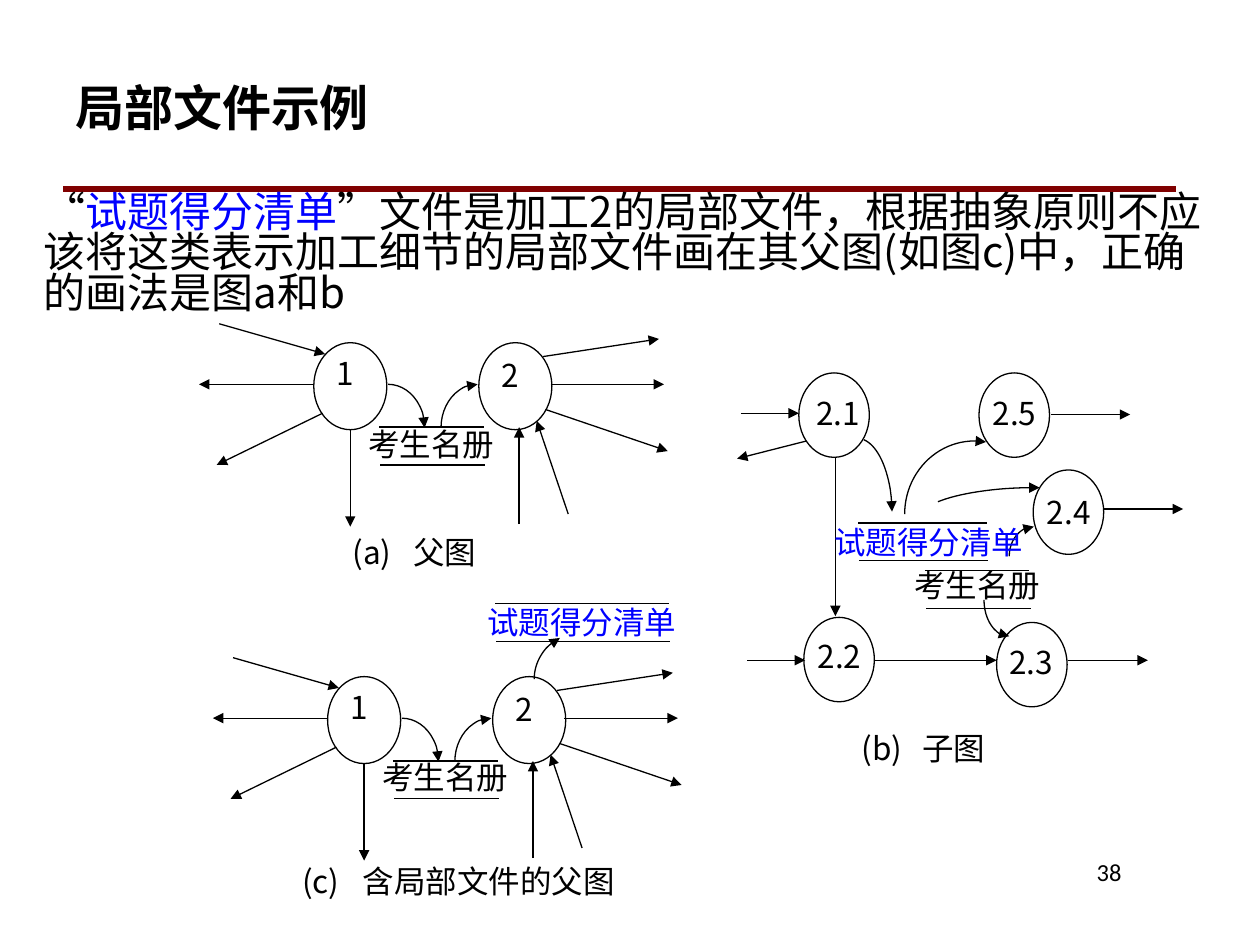
"""Build the slide on local files in data flow diagrams."""
from lxml import etree
from pptx import Presentation
from pptx.dml.color import RGBColor
from pptx.enum.shapes import MSO_CONNECTOR, MSO_SHAPE
from pptx.enum.text import MSO_ANCHOR, PP_ALIGN
from pptx.oxml.ns import qn
from pptx.util import Inches, Pt

LINE, OVAL, ARC = MSO_CONNECTOR.STRAIGHT, MSO_SHAPE.OVAL, MSO_SHAPE.ARC
LEFT, MID, RIGHT = PP_ALIGN.LEFT, PP_ALIGN.CENTER, PP_ALIGN.RIGHT
TOP, HALF = MSO_ANCHOR.TOP, MSO_ANCHOR.MIDDLE
CJK, BLACK, BLUE, RED = "Noto Sans CJK SC", "000000", "0000FF", "800000"

TITLE = "局部文件示例"
BODY = [
    ("“", BLACK),
    ("试题得分清单", BLUE),
    ("”文件是加工2的局部文件，根据抽象原则不应该将这类表示加工细节的局部文件画在其父图"
     "(如图c)中，正确的画法是图a和b", BLACK),
]
CAPTIONS = [
    ("(a)\t父图", 2.7, 4.18, 1.56),
    ("(b)\t子图", 6.74, 5.74, 1.56),
    ("(c)\t含局部文件的父图", 2.3, 6.79, 3.54),
]
# fields: nodes (name, x, y, label dx, label dy), arrows (x1, y1, x2, y2),
# arcs (x, y, w, h, start angle, end angle, arrow end),
# stores (name, colour, rule x, rule y, rule w, text x, text y, text w)
PARENT = {
    "size": (0.58, 0.69),
    "nodes": [("1", 2.49, 2.72, 0.08, 0.04), ("2", 3.8, 2.72, 0.08, 0.06)],
    "arrows": [
        (2.78, 3.41, 2.78, 4.18), (2.49, 3.05, 1.58, 3.05),
        (4.12, 4.16, 4.12, 3.39), (4.37, 3.05, 5.27, 3.05),
        (4.51, 4.08, 4.26, 3.34), (1.74, 2.57, 2.58, 2.81),
        (2.56, 3.28, 1.72, 3.69), (4.31, 2.83, 5.23, 2.69),
        (4.33, 3.25, 5.3, 3.58),
    ],
    "arcs": [
        (2.79, 3.05, 0.58, 0.69, 270, 0, "tailEnd"),
        (3.5, 3.05, 0.58, 0.69, 180, 270, "tailEnd"),
    ],
    "stores": [("考生名册", BLACK, 3.01, 3.39, 0.83, 2.71, 3.32, 1.43)],
}
CHILD = {
    "size": (0.56, 0.67),
    "nodes": [
        ("2.1", 6.34, 2.96, 0.04, 0.12), ("2.2", 6.38, 4.9, 0.01, 0.11),
        ("2.3", 7.91, 4.94, 0, 0.11), ("2.4", 8.2, 3.73, 0.01, 0.13),
        ("2.5", 7.77, 2.96, 0.01, 0.12),
    ],
    "arrows": [
        (8.76, 4.04, 9.39, 4.04), (8.34, 3.29, 8.97, 3.29),
        (6.94, 5.24, 7.91, 5.24), (5.93, 5.24, 6.39, 5.24),
        (8.48, 5.24, 9.11, 5.24), (5.88, 3.28, 6.34, 3.28),
        (6.63, 3.63, 6.63, 4.89), (6.4, 3.5, 5.85, 3.64),
    ],
    "arcs": [
        (7.81, 4.47, 0.4, 0.58, 90, 180, "headEnd"),
        (7.18, 3.5, 1.11, 1.16, 180, 279, "tailEnd"),
        (7.29, 3.87, 1.87, 0.5, 190, 276, "tailEnd"),
        (6.53, 3.48, 0.55, 1.2, 275, 356, "tailEnd"),
        (8.01, 4.18, 0.39, 0.47, 180, 270, "tailEnd"),
    ],
    "stores": [
        ("试题得分清单", BLUE, 6.81, 4.15, 1.02, 6.42, 4.1, 1.9),
        ("考生名册", BLACK, 7.34, 4.53, 0.83, 7.04, 4.44, 1.43),
    ],
}
EXTRA = {
    "size": (0, 0),
    "nodes": [],
    "arrows": [],
    "arcs": [(4.24, 5.02, 0.77, 0.74, 180, 241, "tailEnd")],
    "stores": [("试题得分清单", BLUE, 3.93, 4.79, 1.38, 3.64, 4.74, 1.95)],
}
PARTS = [(PARENT, 0, 0), (CHILD, 0, 0), (PARENT, 0.11, 2.65), (EXTRA, 0, 0)]


def paint(value):
    return RGBColor.from_string(value)


def style(shape, end=None, color=BLACK, width=0.75):
    shape.line.color.rgb = paint(color)
    shape.line.width = Pt(width)
    if end:
        line = shape.line._get_or_add_ln()
        etree.SubElement(line, qn("a:" + end), type="triangle")


def text(slide, box, runs, size=18, align=LEFT, anchor=TOP, font=CJK,
         bold=False, space=None, tab=None):
    frame = slide.shapes.add_textbox(*map(Inches, box)).text_frame
    frame.word_wrap = True
    frame.vertical_anchor = anchor
    para = frame.paragraphs[0]
    para.alignment = align
    if space:
        para.line_spacing = space
    if tab:
        tabs = etree.SubElement(para._p.get_or_add_pPr(), qn("a:tabLst"))
        etree.SubElement(tabs, qn("a:tab"), pos=str(Inches(tab)), algn="l")
    for words, color in runs:
        run = para.add_run()
        run.text = words
        run.font.size = Pt(size)
        run.font.bold = bold
        run.font.color.rgb = paint(color)
        run.font.name = font
        etree.SubElement(run._r.get_or_add_rPr(), qn("a:ea"), typeface=font)


def link(slide, ends, end=None, color=BLACK, width=0.75):
    line = slide.shapes.add_connector(LINE, *map(Inches, ends))
    style(line, end, color, width)
    etree.SubElement(line._element.spPr, qn("a:effectLst"))


def outline(slide, kind, box):
    shape = slide.shapes.add_shape(kind, *map(Inches, box))
    shape.shadow.inherit = False
    shape.fill.background()
    return shape


def curve(slide, box, start, stop, end):
    arc = outline(slide, ARC, box)
    arc.adjustments[0] = start * 0.6
    arc.adjustments[1] = stop * 0.6
    style(arc, end)


def draw(slide, part, dx, dy):
    for name, x, y, lx, ly in part["nodes"]:
        x, y = x + dx, y + dy
        style(outline(slide, OVAL, (x, y, *part["size"])))
        text(slide, (x + lx, y + ly, 0.58, 0.59), [(name, BLACK)])
    for x1, y1, x2, y2 in part["arrows"]:
        link(slide, (x1 + dx, y1 + dy, x2 + dx, y2 + dy), "tailEnd")
    for x, y, w, h, start, stop, end in part["arcs"]:
        # a clockwise arc that leaves a store points at its last angle
        curve(slide, (x + dx, y + dy, w, h), start, stop, end)
    for name, color, x, y, w, tx, ty, tw in part["stores"]:
        for sx, sy in ((0, 0), (0.01, 0.3)):
            left, top = x + dx + sx, y + dy + sy
            link(slide, (left, top, left + w, top))
        text(slide, (tx + dx, ty + dy, tw, 0.55), [(name, color)], align=MID)


def main():
    deck = Presentation()
    deck.slide_width, deck.slide_height = Inches(10), Inches(7.5)
    slide = deck.slides.add_slide(deck.slide_layouts[6])
    link(slide, (0.5, 1.5, 9.33, 1.5), color=RED, width=3)
    text(slide, (0.5, 0.5, 8.83, 0.7), [(TITLE, BLACK)], 28, anchor=HALF, bold=True)
    text(slide, (0.25, 1.5, 9.58, 1.08), BODY, 24, space=0.8)
    for part, dx, dy in PARTS:
        draw(slide, part, dx, dy)
    for words, x, y, w in CAPTIONS:
        text(slide, (x, y, w, 0.62), [(words, BLACK)], tab=0.48)
    text(slide, (7.58, 6.75, 1.42, 0.5), [("38", BLACK)], 14, RIGHT, font="Calibri")
    deck.save("out.pptx")


if __name__ == "__main__":
    main()
